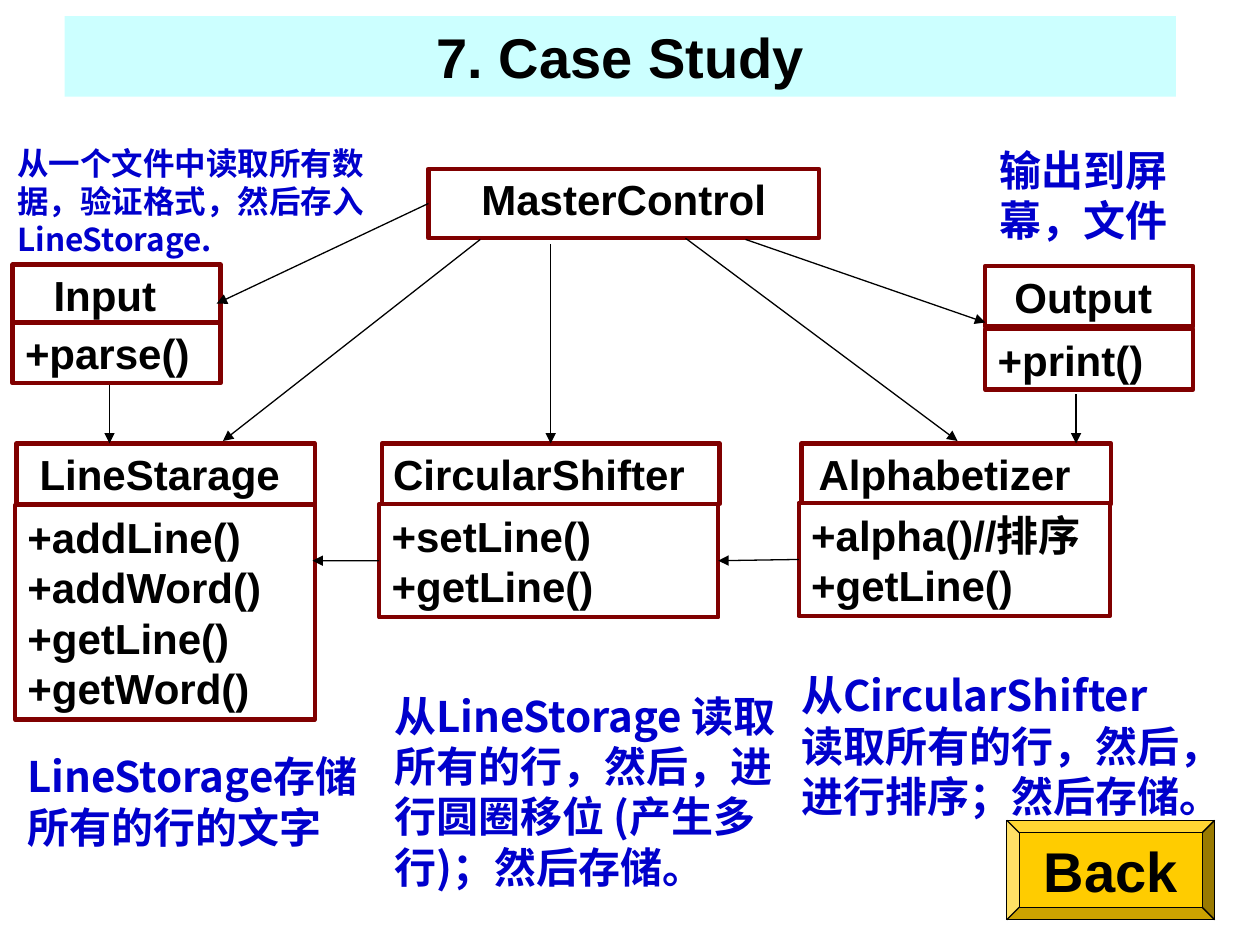
"""Build the case study slide: a module diagram with notes on each module."""
from dataclasses import dataclass

from lxml.etree import SubElement
from pptx import Presentation
from pptx.dml.color import RGBColor
from pptx.enum.shapes import MSO_CONNECTOR, MSO_SHAPE
from pptx.enum.text import MSO_ANCHOR, MSO_AUTO_SIZE, PP_ALIGN
from pptx.oxml.ns import qn
from pptx.util import Pt


@dataclass(frozen=True)
class Theme:
    ink: RGBColor = RGBColor.from_string("000000")
    paper: RGBColor = RGBColor.from_string("FFFFFF")
    border: RGBColor = RGBColor.from_string("800000")
    note: RGBColor = RGBColor.from_string("0000CC")
    banner: RGBColor = RGBColor.from_string("CCFFFF")
    button: RGBColor = RGBColor.from_string("FFCC00")
    latin: str = "Arial"
    chinese: str = "Noto Sans CJK SC"
    heading_size: int = 32
    body_size: int = 24
    small_size: int = 18


theme = Theme()


def write(shape, text, size, color=theme.ink, font=theme.latin, align=PP_ALIGN.LEFT,
          anchor=MSO_ANCHOR.MIDDLE, wrap=True, spacing=None):
    frame = shape.text_frame
    frame.text = text
    frame.word_wrap = wrap
    frame.auto_size = MSO_AUTO_SIZE.NONE
    frame.vertical_anchor = anchor
    for paragraph in frame.paragraphs:
        paragraph.alignment = align
        paragraph.line_spacing = spacing
        for run in paragraph.runs:
            run.font.size = Pt(size)
            run.font.bold = True
            run.font.color.rgb = color
            run.font.name = font
            SubElement(run.font._element, qn("a:ea"), typeface=theme.chinese)


def add_box(kind, left, top, width, height, fill, line, weight):
    box = slide.shapes.add_shape(kind, Pt(left), Pt(top), Pt(width), Pt(height))
    box.shadow.inherit = False
    box.fill.solid()
    box.fill.fore_color.rgb = fill
    box.line.color.rgb = line
    box.line.width = Pt(weight)
    return box


presentation = Presentation()
presentation.slide_width, presentation.slide_height = Pt(720), Pt(540)
slide = presentation.slides.add_slide(presentation.slide_layouts[5])

title = slide.shapes.title
title.left, title.top, title.width, title.height = Pt(37), Pt(9.2), Pt(635), Pt(46)
title.fill.solid()
title.fill.fore_color.rgb = theme.banner
write(title, "7. Case Study", theme.heading_size, align=PP_ALIGN.CENTER)

headers = [
    ("MasterControl", 244.8, 96.5, 223.2, 39.6, 0),
    ("Input", 7.2, 151.2, 118.8, 34.6, 13.3),
    ("Output", 563, 152, 118.8, 34.6, 6.7),
    ("LineStarage", 9.4, 253.4, 170.6, 34.6, 6.7),
    ("CircularShifter", 218.2, 253.4, 193, 34.6, 13.3),
    ("Alphabetizer", 458, 253.4, 177, 34.6, 13.3),
]
methods = [
    ("Input", "+parse()", 7.2, 184.3, 118.8, 34.6),
    ("Output", "+print()", 563, 188, 118.8, 34.6),
    ("LineStarage", "+addLine()\n+addWord()\n+getLine()\n+getWord()", 8.6, 288.7, 171.4, 122.4),
    ("CircularShifter", "+setLine()\n+getLine()", 216.7, 288, 193.7, 64.8),
    ("Alphabetizer", "+alpha()//排序\n+getLine()", 456.5, 287.3, 177.8, 64.8),
]
header_boxes, method_boxes = {}, {}
for module, left, top, width, height, offset in headers:
    header = add_box(MSO_SHAPE.RECTANGLE, left, top, width, height,
                     theme.paper, theme.border, 2.5)
    write(header, module, theme.body_size, align=PP_ALIGN.CENTER, wrap=False)
    header.text_frame.margin_right = Pt(7.2 + offset)
    header_boxes[module] = header
header_boxes["MasterControl"].text_frame.paragraphs[0].line_spacing = 0.8

for module, signatures, left, top, width, height in methods:
    operations = add_box(MSO_SHAPE.RECTANGLE, left, top, width, height,
                         theme.paper, theme.border, 2.5)
    write(operations, signatures, theme.body_size, spacing=Pt(1.2 * theme.body_size))
    method_boxes[module] = operations

back = add_box(MSO_SHAPE.BEVEL, 575.3, 468.7, 118.8, 56.9, theme.button, theme.ink, 0.75)
write(back, "Back", theme.heading_size, align=PP_ALIGN.CENTER, wrap=False)

notes = [
    ("从一个文件中读取所有数\n据，验证格式，然后存入LineStorage.", 2.9, 77, 232.6, 72, theme.small_size),
    ("输出到屏\n幕，文件", 563.8, 77, 118, 64.8, theme.body_size),
    ("LineStorage存储\n所有的行的文字", 8.6, 423.4, 221, 64.8, theme.body_size),
    ("从LineStorage 读取所有的行，然后，进行圆圈移位 (产生多行)；然后存储。",
     218.2, 388.8, 232.6, 122.4, theme.body_size),
    ("从CircularShifter\n读取所有的行，然后，\n进行排序；然后存储。",
     450.7, 377.3, 254.9, 93.6, theme.body_size),
]
for text, left, top, width, height, size in notes:
    note = slide.shapes.add_textbox(Pt(left), Pt(top + 2), Pt(width), Pt(height))
    write(note, text, size, theme.note, theme.chinese, anchor=MSO_ANCHOR.TOP,
          spacing=Pt(1.2 * size))

shifter, shifter_methods = header_boxes["CircularShifter"], method_boxes["CircularShifter"]
arrows = [
    ((244.8, 116.3), (123.8, 173.5), (header_boxes["MasterControl"], 1), None),
    ((274.5, 136.8), (127.4, 252), None, None),
    ((314.7, 139.7), (314.7, 253.4), None, (shifter, 0)),
    ((391.7, 136.1), (547.2, 252), None, None),
    ((426, 136.8), (563, 184.3), None, None),
    ((216.7, 320.4), (178.6, 320.4), (shifter_methods, 1), None),
    ((456.5, 319.7), (410.4, 320.4), (method_boxes["Alphabetizer"], 1), (shifter_methods, 3)),
    ((62.6, 220.3), (62.6, 253.4), None, None),
    ((614.9, 225.4), (614.9, 253.4), None, None),
]
for start, end, source, target in arrows:
    arrow = slide.shapes.add_connector(
        MSO_CONNECTOR.STRAIGHT, *(Pt(value) for value in start + end))
    if source:
        arrow.begin_connect(*source)
    if target:
        arrow.end_connect(*target)
    arrow.line.color.rgb = theme.ink
    arrow.line.width = Pt(0.75)
    SubElement(arrow.line._get_or_add_ln(), qn("a:tailEnd"), type="triangle")
    SubElement(arrow._element.spPr, qn("a:effectLst"))

presentation.save("out.pptx")
